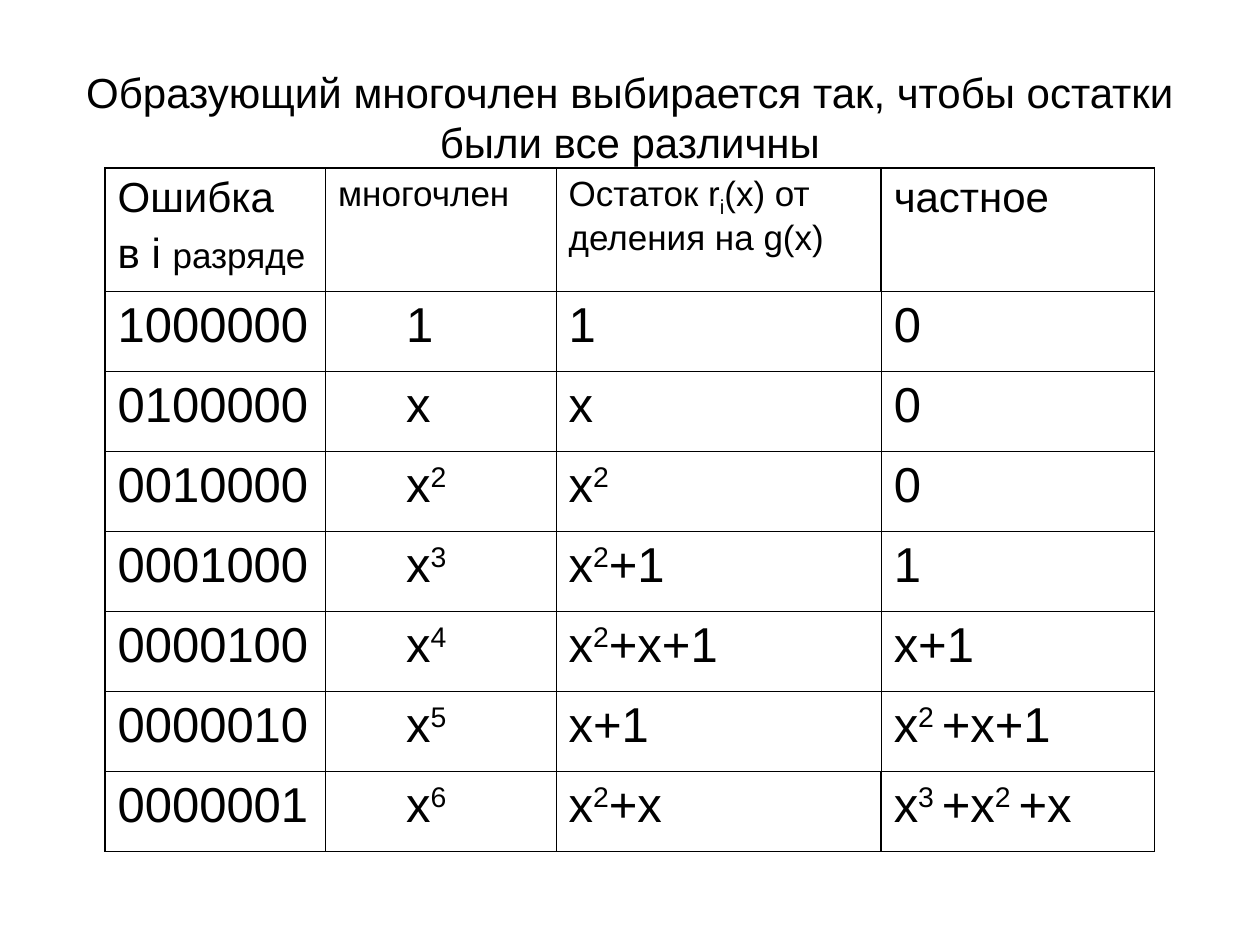
"""Build a slide with a table of error polynomials, remainders and quotients."""
from lxml import etree
from pptx import Presentation
from pptx.dml.color import RGBColor
from pptx.enum.text import MSO_ANCHOR, PP_ALIGN
from pptx.oxml.ns import qn
from pptx.util import Inches, Pt

CENTER = PP_ALIGN.CENTER
MIDDLE = MSO_ANCHOR.MIDDLE

COLORS = {"ink": "000000"}
FONT = "Arial"
SLIDE_WIDTH, SLIDE_HEIGHT = 10, 7.5
HEADING_SIZE, LABEL_SIZE, VALUE_SIZE = 24, 20, 28
THIN, THICK = 0.45, 1.08
SUPERSCRIPT, SUBSCRIPT = 30000, -25000

HEADING = "Образующий многочлен выбирается так, чтобы остатки были все различны"
HEADERS = [
    [[("Ошибка", HEADING_SIZE)], [("в i ", HEADING_SIZE), ("разряде", LABEL_SIZE)]],
    [[("многочлен", LABEL_SIZE)]],
    [[("Остаток r|i|(x) от деления на g(x)", LABEL_SIZE)]],
    [[("частное", HEADING_SIZE)]],
]
VALUES = [
    ("1000000", "1", "1", "0"),
    ("0100000", "x", "x", "0"),
    ("0010000", "x|2", "x|2", "0"),
    ("0001000", "x|3", "x|2|+1", "1"),
    ("0000100", "x|4", "x|2|+x+1", "x+1"),
    ("0000010", "x|5", "x+1", "x|2 |+x+1"),
    ("0000001", "x|6", "x|2|+x", "x|3 |+x|2 |+x"),
]
COLUMN_WIDTHS = [1.75, 1.83, 2.58, 2.17]
ROW_HEIGHTS = [0.98] + [0.635] * len(VALUES)
TABLE_LEFT, TABLE_TOP = SLIDE_WIDTH / 12, SLIDE_HEIGHT * 0.178
POLYNOMIAL_COLUMN, REMAINDER_COLUMN = 1, 2
POLYNOMIAL_INDENT = 0.64


def write_line(paragraph, pieces):
    """Write sized pieces; every second part between bars is a raised or lowered script."""
    for text, size in pieces:
        for index, part in enumerate(text.split("|")):
            run = paragraph.add_run()
            run.text = part
            run.font.size = Pt(size)
            run.font.name = FONT
            run.font.color.rgb = RGBColor.from_string(COLORS["ink"])
            if index % 2:
                shift = SUPERSCRIPT if part.strip().isdigit() else SUBSCRIPT
                run.font._element.set("baseline", str(shift))


def write_cell(cell, lines):
    """Fill a cell with lines, each spaced by a quarter of its last text size."""
    cell.fill.background()
    frame = cell.text_frame
    for index, pieces in enumerate(lines):
        paragraph = frame.add_paragraph() if index else frame.paragraphs[0]
        paragraph.space_before = Pt(pieces[-1][1] / 4)
        write_line(paragraph, pieces)


def draw_borders(cell, thick_sides):
    """Rule the four sides of a cell, heavier on the given ones."""
    properties = cell._tc.get_or_add_tcPr()
    for index, side in enumerate("LRTB"):
        width = THICK if side in thick_sides else THIN
        line = etree.Element(qn(f"a:ln{side}"), w=str(Pt(width)))
        fill = etree.SubElement(line, qn("a:solidFill"))
        etree.SubElement(fill, qn("a:srgbClr"), val=COLORS["ink"])
        properties.insert(index, line)


def thick_sides(row, column):
    """Name the heavy sides: the outer frame and the quotient edge in the end rows."""
    last_row, last_column = len(VALUES), len(COLUMN_WIDTHS) - 1
    end_row = row in (0, last_row)
    rules = {
        "L": column == 0 or (end_row and column == REMAINDER_COLUMN + 1),
        "R": column == last_column or (end_row and column == REMAINDER_COLUMN),
        "T": row == 0,
        "B": row == last_row,
    }
    return [side for side, heavy in rules.items() if heavy]


def add_heading(slide):
    heading = slide.shapes.add_textbox(Inches(SLIDE_WIDTH * 0.05), Inches(SLIDE_HEIGHT * 0.04),
                                       Inches(SLIDE_WIDTH * 0.9), Inches(SLIDE_HEIGHT / 6))
    frame = heading.text_frame
    frame.word_wrap = True
    frame.vertical_anchor = MIDDLE
    frame.paragraphs[0].alignment = CENTER
    write_line(frame.paragraphs[0], [(HEADING, HEADING_SIZE)])


def add_remainders(slide):
    rows = HEADERS, *([[[(text, VALUE_SIZE)]] for text in row] for row in VALUES)
    table = slide.shapes.add_table(
        len(rows), len(COLUMN_WIDTHS), Inches(TABLE_LEFT), Inches(TABLE_TOP),
        Inches(sum(COLUMN_WIDTHS)), Inches(sum(ROW_HEIGHTS))).table
    table.first_row = table.horz_banding = False
    for column, width in zip(table.columns, COLUMN_WIDTHS):
        column.width = Inches(width)
    for row, height in zip(table.rows, ROW_HEIGHTS):
        row.height = Inches(height)
    for r, row in enumerate(rows):
        for c, lines in enumerate(row):
            cell = table.cell(r, c)
            write_cell(cell, lines)
            draw_borders(cell, thick_sides(r, c))
            if r and c == POLYNOMIAL_COLUMN:
                cell.margin_left = Inches(POLYNOMIAL_INDENT)


def main():
    presentation = Presentation()
    presentation.slide_width = Inches(SLIDE_WIDTH)
    presentation.slide_height = Inches(SLIDE_HEIGHT)
    slide = presentation.slides.add_slide(presentation.slide_layouts[6])
    add_heading(slide)
    add_remainders(slide)
    presentation.save("out.pptx")


if __name__ == "__main__":
    main()
